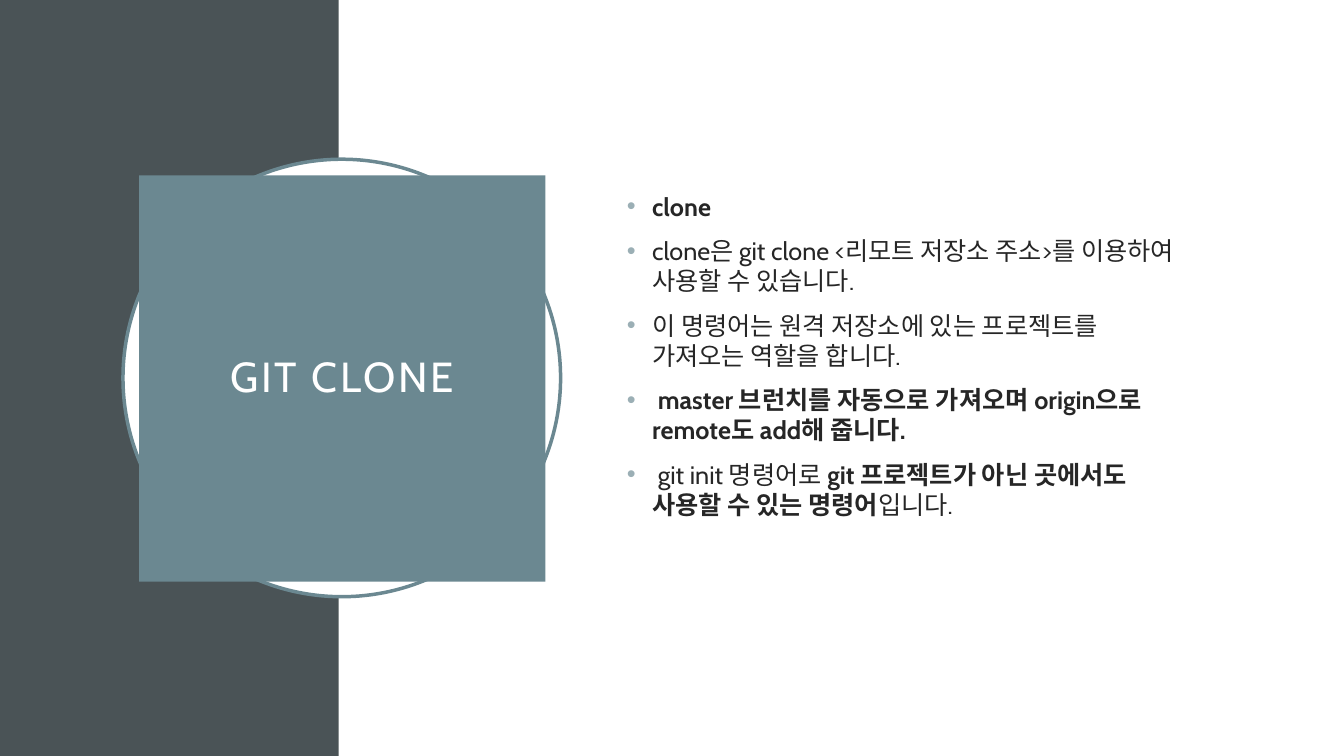
import pptx
import pptx.dml.color
import pptx.enum.shapes
import pptx.enum.text
import pptx.oxml
import pptx.oxml.ns
import pptx.util

Inches = pptx.util.Inches
Pt = pptx.util.Pt
SHAPES = pptx.enum.shapes.MSO_SHAPE
MIDDLE = pptx.enum.text.MSO_ANCHOR.MIDDLE


def color(value):
    return pptx.dml.color.RGBColor.from_string(value)


class SlideBuilder:
    font = "Cabin"
    dark = "4A5356"
    accent = "6B8891"
    bullet = "9BAFB5"
    ink = "262626"
    white = "FFFFFF"

    def __init__(self, deck):
        self.page = deck.slides.add_slide(deck.slide_layouts[5])

    def place(self, item, left, top, width, height):
        item.left, item.top = Inches(left), Inches(top)
        item.width, item.height = Inches(width), Inches(height)

    def span(self, para, text, size, fill, bold=False):
        span = para.add_run()
        span.text = text
        span.font.name = self.font
        span.font.size = Pt(size)
        span.font.bold = bold
        span.font.color.rgb = color(fill)
        return span

    def shape(self, kind, area, fill, line=None):
        shape = self.page.shapes.add_shape(kind, *map(Inches, area))
        shape.shadow.inherit = False
        shape.fill.solid()
        shape.fill.fore_color.rgb = color(fill)
        if line:
            shape.line.color.rgb = color(line)
            shape.line.width = Pt(2.5)
        else:
            shape.line.fill.background()

    def title(self, text, area):
        title = self.page.shapes.title
        self.place(title, *area)
        title.element.getparent().append(title.element)
        title.fill.solid()
        title.fill.fore_color.rgb = color(self.accent)
        frame = title.text_frame
        frame.word_wrap = True
        frame.auto_size = pptx.enum.text.MSO_AUTO_SIZE.NONE
        frame.vertical_anchor = MIDDLE
        frame.margin_left = frame.margin_right = Inches(0.2)
        frame.margin_top = frame.margin_bottom = Inches(0.2)
        para = frame.paragraphs[0]
        para.alignment = pptx.enum.text.PP_ALIGN.CENTER
        para.line_spacing = 0.9
        span = self.span(para, text, 30, self.white)
        span.font._element.set("spc", "200")

    def add_bullet(self, para):
        properties = para._p.get_or_add_pPr()
        properties.set("marL", str(Inches(0.25)))
        properties.set("indent", str(-Inches(0.25)))
        namespace = pptx.oxml.ns.nsdecls("a")
        for markup in (
            f'<a:buClr {namespace}><a:srgbClr val="{self.bullet}"/></a:buClr>',
            f'<a:buFont {namespace} typeface="Arial"/>',
            f'<a:buChar {namespace} char="•"/>',
        ):
            properties.append(pptx.oxml.parse_xml(markup))

    def bullets(self, items, area):
        box = self.page.shapes.add_textbox(*map(Inches, area))
        frame = box.text_frame
        frame.word_wrap = True
        frame.vertical_anchor = MIDDLE
        frame.margin_bottom = Inches(0.49)
        for index, spans in enumerate(items):
            para = frame.add_paragraph() if index else frame.paragraphs[0]
            para.space_before = Pt(10)
            self.add_bullet(para)
            for text, bold in spans:
                self.span(para, text, 18, self.ink, bold)


def main():
    deck = pptx.Presentation()
    deck.slide_width, deck.slide_height = Inches(13.33), Inches(7.5)
    builder = SlideBuilder(deck)
    builder.shape(SHAPES.RECTANGLE, (0, 0, 3.36, 7.5), builder.dark)
    builder.shape(SHAPES.OVAL, (1.22, 1.58, 4.34, 4.34), builder.white, builder.accent)
    builder.title("GIT CLONE", (1.38, 1.74, 4.03, 4.03))
    builder.bullets(
        [
            [("clone", True)],
            [("clone은 git clone <리모트 저장소 주소>를 이용하여 사용할 수 있습니다.", False)],
            [("이 명령어는 원격 저장소에 있는 프로젝트를 가져오는 역할을 합니다.", False)],
            [
                (" ", False),
                ("master 브런치를 자동으로 가져오며 origin으로 remote도 add해 줍니다.", True),
            ],
            [
                (" git init 명령어로 ", False),
                ("git 프로젝트가 아닌 곳에서도 사용할 수 있는 명령어", True),
                ("입니다.", False),
            ],
        ],
        (6.12, 1.53, 5.82, 4.43),
    )
    deck.save("out.pptx")


if __name__ == "__main__":
    main()
